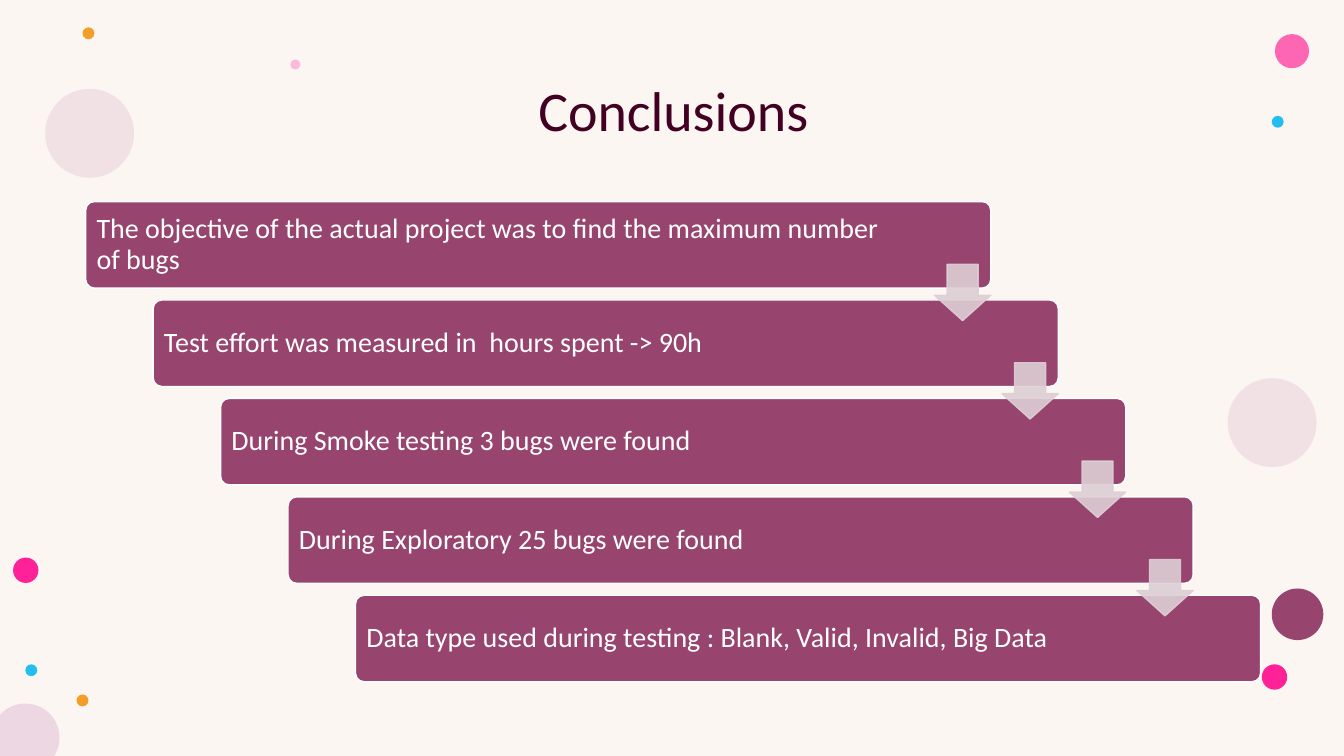
from dataclasses import dataclass
from math import cos, radians, sin

from lxml.etree import SubElement
from pptx import Presentation
from pptx.dml.color import RGBColor as Rgb
from pptx.enum.shapes import MSO_SHAPE as Kind
from pptx.enum.text import MSO_ANCHOR as Anchor, PP_ALIGN as Align
from pptx.oxml.ns import qn
from pptx.util import Cm, Pt

WIDE, HIGH = 33.87, 19.05
HUES = {
    "paper": "FBF6F2", "title": "420023", "white": "FFFFFF", "plum": "97446E",
    "arrow": "DDCFD5", "hot": "FF2197", "rose": "FF2F9C", "gold": "F39E29",
    "sky": "24BEEE", "mauve": "DBAFC5", "lilac": "EDD7E2",
}


@dataclass
class Dot:
    left: float
    top: float
    size: float
    hue: str
    alpha: int = 100


DOTS = [
    Dot(7.32, 1.5, 0.25, "hot", 28),
    Dot(0.33, 14.05, 0.64, "hot"),
    Dot(32.13, 0.86, 0.86, "rose", 72),
    Dot(2.08, 0.69, 0.3, "gold"),
    Dot(0.64, 16.74, 0.3, "sky"),
    Dot(1.14, 2.24, 2.24, "mauve", 30),
    Dot(1.93, 17.5, 0.3, "gold"),
    Dot(31.8, 16.74, 0.64, "hot"),
    Dot(32.05, 14.83, 1.3, "plum"),
    Dot(32.05, 2.92, 0.3, "sky"),
    Dot(30.94, 9.53, 2.24, "mauve", 30),
]
STEPS = [
    "The objective of the actual project was to find the maximum number of bugs",
    "Test effort was measured in  hours spent -> 90h",
    "During Smoke testing 3 bugs were found",
    "During Exploratory 25 bugs were found",
    "Data type used during testing : Blank, Valid, Invalid, Big Data",
]
STEP_X, STEP_Y = 1.7, 2.48


def tint(fill, hue: str, alpha: int = 100) -> None:
    fill.solid()
    fill.fore_color.rgb = Rgb.from_string(HUES[hue])
    if alpha < 100:
        for clr in fill._xPr.iter(qn("a:srgbClr")):
            SubElement(clr, qn("a:alpha"), val=str(alpha * 1000))


def paint(shape, hue: str, alpha: int = 100, edge: str = "") -> None:
    shape.shadow.inherit = False
    tint(shape.fill, hue, alpha)
    if edge:
        shape.line.width = Pt(1)
        tint(shape.line.fill, edge, alpha)
    else:
        shape.line.fill.background()


def write(shape, text: str, *, size: int, hue: str, align=Align.LEFT,
          left: float = 0.25, right: float = 0.25) -> None:
    frame = shape.text_frame
    frame.word_wrap = True
    frame.vertical_anchor = Anchor.MIDDLE
    frame.margin_left, frame.margin_right = Cm(left), Cm(right)
    para = frame.paragraphs[0]
    para.alignment = align
    para.line_spacing = 0.9
    run = para.add_run()
    run.text = text
    run.font.name = "Calibri"
    run.font.size = Pt(size)
    run.font.color.rgb = Rgb.from_string(HUES[hue])


def add(shapes, kind: Kind, left: float, top: float, wide: float, high: float):
    return shapes.add_shape(kind, Cm(left), Cm(top), Cm(wide), Cm(high))


def draw_dot(shapes, dot: Dot) -> None:
    shape = add(shapes, Kind.OVAL, dot.left, dot.top, dot.size, dot.size)
    paint(shape, dot.hue, dot.alpha)


def draw_corner(shapes, mid_x: float, mid_y: float, radius: float) -> None:
    points = []
    for angle in range(0, 360, 3):
        x = max(0, mid_x + radius * cos(radians(angle)))
        y = min(HIGH, mid_y + radius * sin(radians(angle)))
        points.append((Cm(x), Cm(y)))
    path = shapes.build_freeform(*points[0])
    path.add_line_segments(points[1:], close=True)
    paint(path.convert_to_shape(), "lilac")


def draw_step(shapes, index: int, text: str) -> None:
    bar = add(shapes, Kind.ROUNDED_RECTANGLE, 2.16 + index * STEP_X,
              5.08 + index * STEP_Y, 22.81, 2.18)
    bar.adjustments[0] = 0.1
    paint(bar, "plum", edge="white")
    write(bar, text, size=20, hue="white", left=0.21, right=2.7)


def draw_arrow(shapes, index: int) -> None:
    arrow = add(shapes, Kind.DOWN_ARROW, 23.55 + index * STEP_X,
                6.66 + index * STEP_Y, 1.42, 1.42)
    arrow.adjustments[0], arrow.adjustments[1] = 0.55, 0.45
    paint(arrow, "arrow", 90, "arrow")


deck = Presentation()
deck.slide_width, deck.slide_height = Cm(WIDE), Cm(HIGH)
slide = deck.slides.add_slide(deck.slide_layouts[6])
tint(slide.background.fill, "paper")
shapes = slide.shapes

for dot in DOTS:
    draw_dot(shapes, dot)
draw_corner(shapes, 0.64, 18.59, 0.86)

title = shapes.add_textbox(Cm(2.16), Cm(1.02), Cm(29.62), Cm(3.68))
write(title, "Conclusions", size=40, hue="title", align=Align.CENTER)

for index, text in enumerate(STEPS):
    draw_step(shapes, index, text)
for index in range(len(STEPS) - 1):
    draw_arrow(shapes, index)

deck.save("out.pptx")
